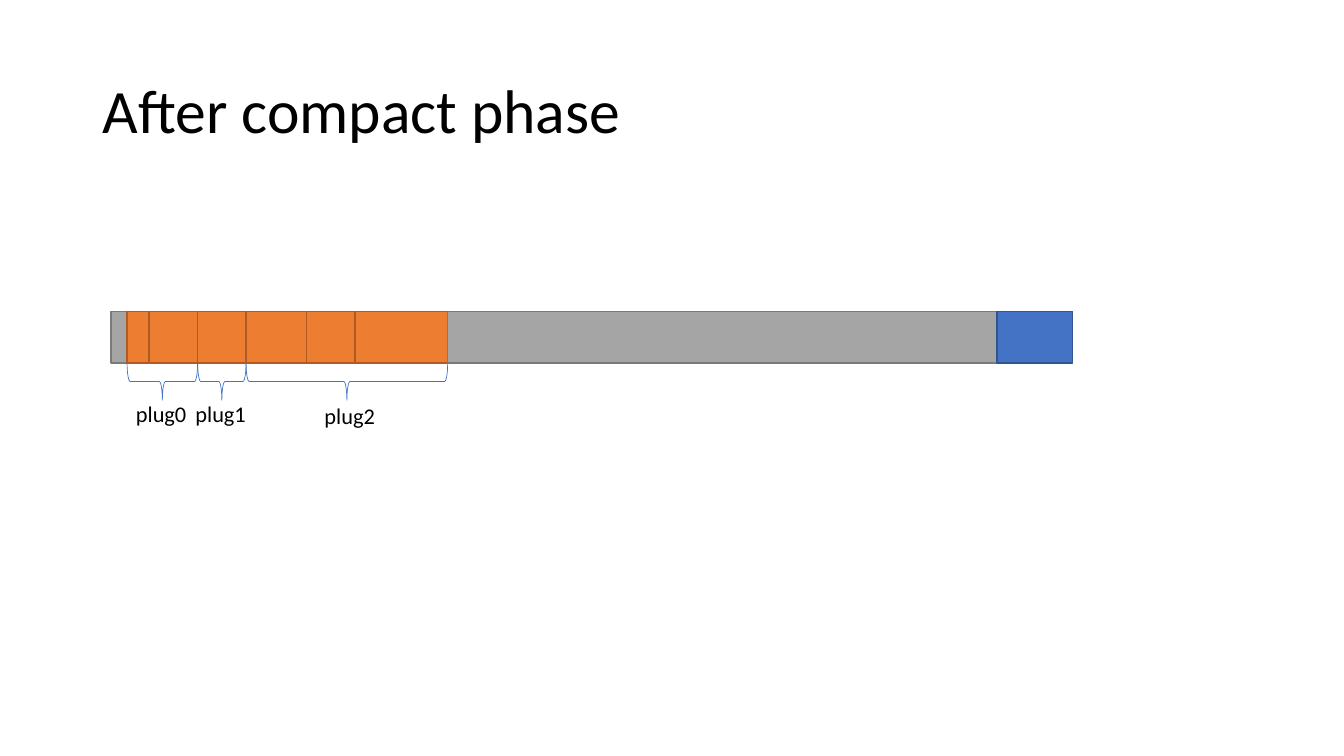
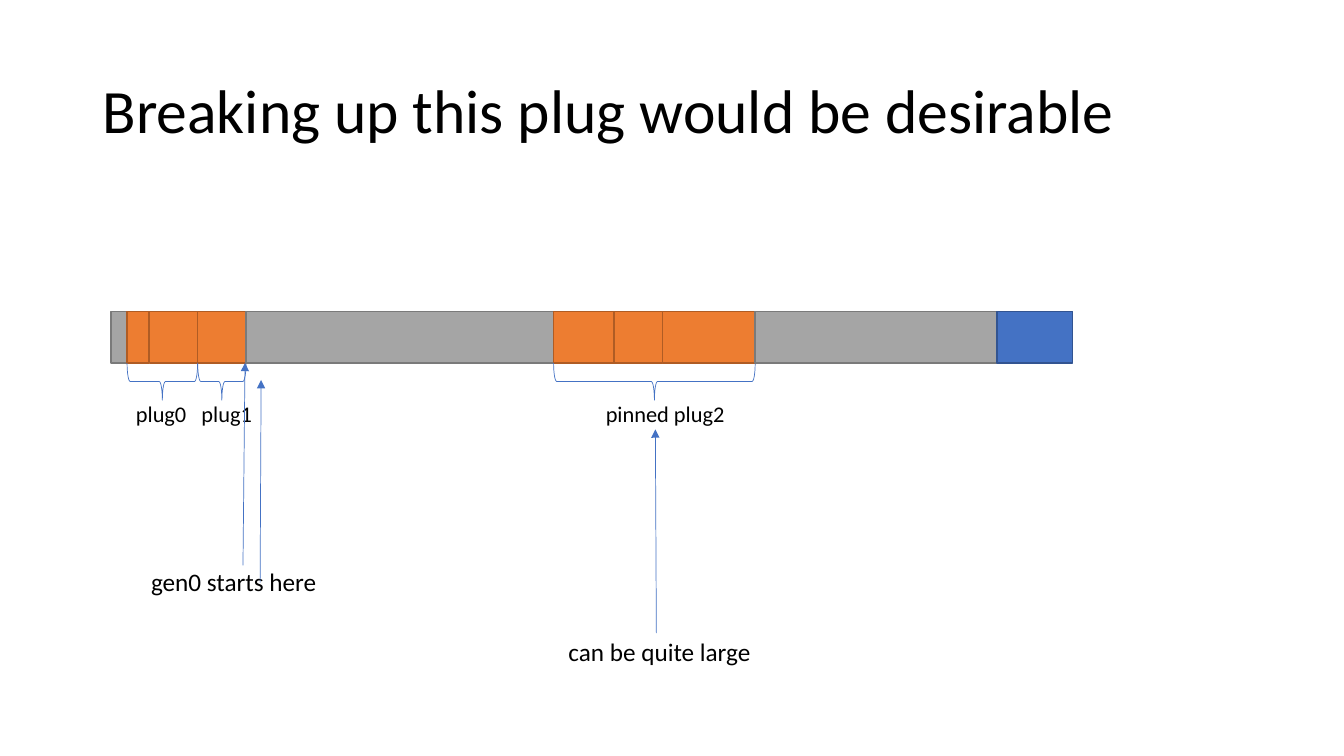
from lxml.etree import SubElement
from pptx import Presentation
from pptx.dml.color import RGBColor
from pptx.enum.shapes import MSO_CONNECTOR, MSO_SHAPE
from pptx.enum.text import MSO_ANCHOR
from pptx.oxml.ns import qn
from pptx.util import Inches, Pt

COLORS = {
    "text": "000000",
    "free": "A5A5A5", "free_line": "7A7A7A",
    "object": "ED7D31", "object_line": "AF5C24",
    "end": "4472C4", "end_line": "325491",
    "accent": "4472C4",
}
FONT = "Calibri"
BAR_LEFT, BAR_TOP, BAR_HEIGHT = 1.1, 3.09, 0.51
BRACE_DEPTH = 0.37

# Each heap is a run of (kind, widths); a plug is one "object" run.
PLUG0 = ("object", [0.22, 0.48])
PLUG1 = ("object", [0.48])
PLUG2 = ("object", [0.6, 0.48, 0.92])
START = ("free", [0.16])
END = ("end", [0.75])

SLIDES = [
    {
        "title": "After compact phase",
        "heap": [START, PLUG0, PLUG1, PLUG2, ("free", [5.45]), END],
        "labels": [("plug0", 1.25, 3.92, 0.74, 16),
                   ("plug1", 1.84, 3.92, 0.74, 16),
                   ("plug2", 3.12, 3.94, 0.74, 16)],
        "arrows": [],
    },
    {
        "title": "Breaking up this plug would be desirable",
        "heap": [START, PLUG0, PLUG1, ("free", [3.05]), PLUG2,
                 ("free", [2.4]), END],
        "labels": [("plug0", 1.25, 3.92, 0.74, 16),
                   ("plug1", 1.9, 3.92, 1.02, 16),
                   ("pinned plug2", 5.91, 3.92, 1.45, 16),
                   ("gen0 starts here", 1.4, 5.57, 2.22, 18),
                   ("can be quite large", 5.54, 6.26, 2.06, 18)],
        "arrows": [(2.41, 5.61, 2.43, 3.6),
                   (6.51, 6.28, 6.5, 4.26),
                   (2.58, 5.78, 2.59, 3.77)],
    },
]


def rgb(name):
    return RGBColor.from_string(COLORS[name])


def add_text(slide, text, left, top, width, height, size=16,
             anchor=MSO_ANCHOR.TOP, spacing=1.0):
    box = slide.shapes.add_textbox(Inches(left), Inches(top),
                                   Inches(width), Inches(height))
    tf = box.text_frame
    tf.word_wrap = True
    tf.vertical_anchor = anchor
    p = tf.paragraphs[0]
    p.line_spacing = spacing
    r = p.add_run()
    r.text = text
    r.font.name = FONT
    r.font.size = Pt(size)
    r.font.color.rgb = rgb("text")


prs = Presentation()
prs.slide_width = Inches(13.33)
prs.slide_height = Inches(7.5)

for content in SLIDES:
    slide = prs.slides.add_slide(prs.slide_layouts[6])
    add_text(slide, content["title"], 0.92, 0.4, 11.5, 1.45, size=44,
             anchor=MSO_ANCHOR.MIDDLE, spacing=0.9)

    x = BAR_LEFT
    for kind, widths in content["heap"]:
        run_left = x
        for width in widths:
            sp = slide.shapes.add_shape(
                MSO_SHAPE.RECTANGLE, Inches(x), Inches(BAR_TOP),
                Inches(width), Inches(BAR_HEIGHT))
            sp.shadow.inherit = False
            sp.fill.solid()
            sp.fill.fore_color.rgb = rgb(kind)
            sp.line.color.rgb = rgb(kind + "_line")
            sp.line.width = Pt(1)
            x += width
        if kind == "object":
            # The brace is turned a quarter, so its height spans the plug.
            span = x - run_left
            middle = BAR_TOP + BAR_HEIGHT + BRACE_DEPTH / 2
            sp = slide.shapes.add_shape(
                MSO_SHAPE.RIGHT_BRACE,
                Inches(run_left + span / 2 - BRACE_DEPTH / 2),
                Inches(middle - span / 2), Inches(BRACE_DEPTH), Inches(span))
            sp.rotation = 90
            sp.shadow.inherit = False
            sp.fill.background()
            sp.line.color.rgb = rgb("accent")
            sp.line.width = Pt(0.5)

    for text, left, top, width, size in content["labels"]:
        add_text(slide, text, left, top, width, 0.37, size=size)

    for ends in content["arrows"]:
        arrow = slide.shapes.add_connector(
            MSO_CONNECTOR.STRAIGHT, *[Inches(v) for v in ends])
        arrow.line.color.rgb = rgb("accent")
        arrow.line.width = Pt(0.5)
        SubElement(arrow.line._get_or_add_ln(), qn("a:tailEnd"), type="triangle")
        SubElement(arrow._element.spPr, qn("a:effectLst"))

prs.save("out.pptx")
